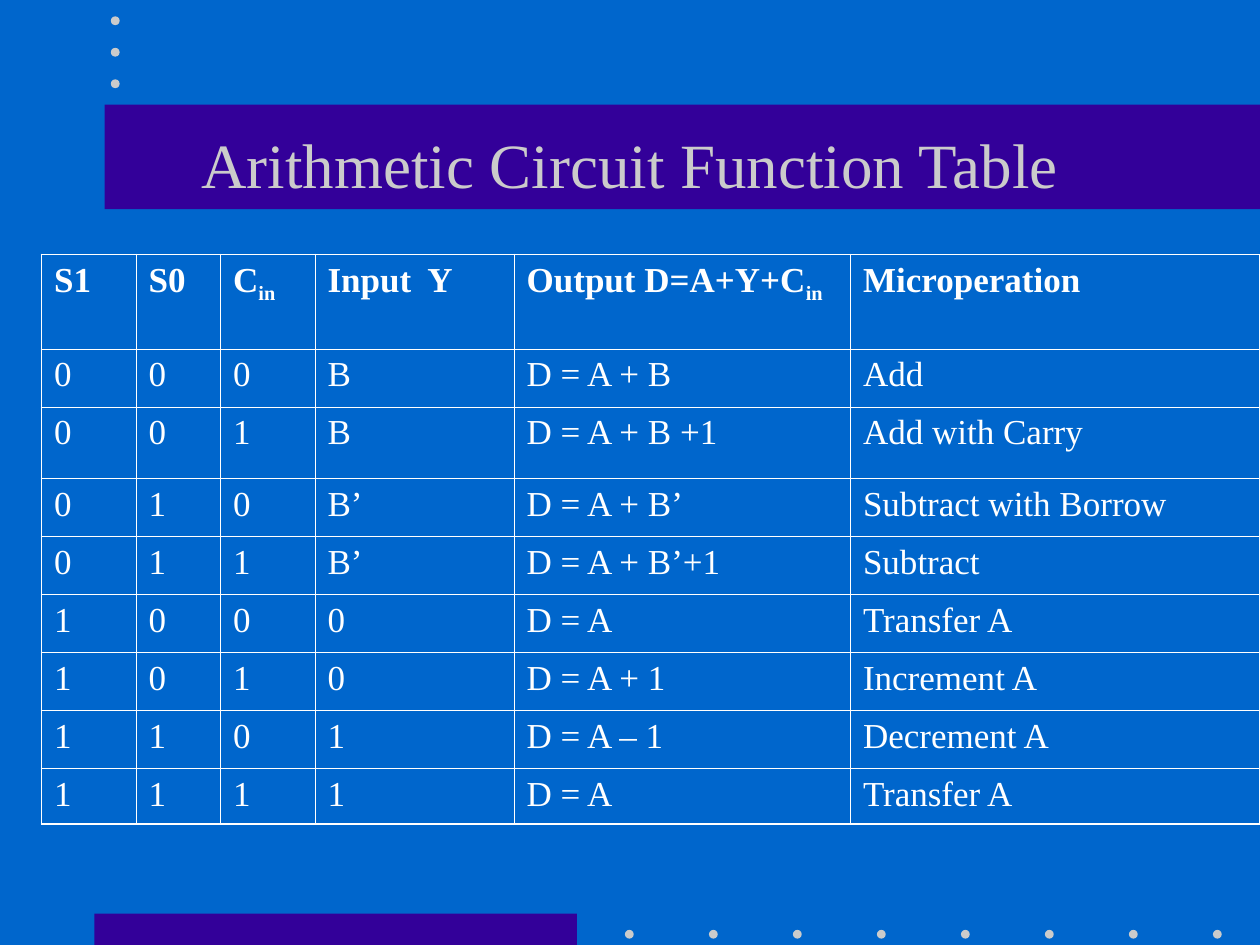
"""Build the arithmetic circuit function table slide."""
from lxml.etree import SubElement
from pptx import Presentation
from pptx.dml.color import RGBColor
from pptx.enum.shapes import MSO_SHAPE
from pptx.enum.text import MSO_ANCHOR, MSO_AUTO_SIZE, PP_ALIGN
from pptx.oxml.ns import qn
from pptx.util import Inches, Pt

BLUE = RGBColor(0x00, 0x66, 0xCC)
PURPLE = RGBColor(0x33, 0x00, 0x99)
GREY = RGBColor(0xCB, 0xCB, 0xCB)
WHITE = RGBColor(0xFF, 0xFF, 0xFF)
FONT = "Times New Roman"
OUTER, INNER = Pt(1.08), Pt(0.45)

COLUMN_WIDTHS = [0.75, 0.67, 0.75, 1.58, 2.67, 3.25]
ROW_HEIGHTS = [0.75, 0.46, 0.57, 0.46, 0.46, 0.46, 0.46, 0.46, 0.44]
HEADERS = [("S1",), ("S0",), ("C", "in"), ("Input  Y",),
           ("Output D=A+Y+C", "in"), ("Microperation",)]
OPERATIONS = [
    ("B", "D = A + B", "Add"),
    ("B", "D = A + B +1", "Add with Carry"),
    ("B’", "D = A + B’", "Subtract with Borrow"),
    ("B’", "D = A + B’+1", "Subtract"),
    ("0", "D = A", "Transfer A"),
    ("0", "D = A + 1", "Increment A"),
    ("1", "D = A – 1", "Decrement A"),
    ("1", "D = A", "Transfer A"),
]


def add_plain_shape(kind, left, top, width, height, color):
    shape = page.shapes.add_shape(
        kind, Inches(left), Inches(top), Inches(width), Inches(height))
    shape.shadow.inherit = False
    shape.fill.solid()
    shape.fill.fore_color.rgb = color
    shape.line.fill.background()


def add_border(cell, side, width):
    line = SubElement(cell._tc.get_or_add_tcPr(), qn(f"a:ln{side}"), w=str(width))
    fill = SubElement(line, qn("a:solidFill"))
    SubElement(fill, qn("a:srgbClr"), val=str(WHITE))


deck = Presentation()
deck.slide_width, deck.slide_height = Inches(10), Inches(7.5)
page = deck.slides.add_slide(deck.slide_layouts[5])
page.background.fill.solid()
page.background.fill.fore_color.rgb = BLUE

add_plain_shape(MSO_SHAPE.RECTANGLE, 0.75, 7.25, 3.83, 0.25, PURPLE)
add_plain_shape(MSO_SHAPE.RECTANGLE, 0.83, 0.83, 9.17, 0.83, PURPLE)
bottom_dots = [(4.96 + index * 2 / 3, 7.38) for index in range(8)]
top_dots = [(0.88, 0.13 + index * 0.25) for index in range(3)]
for left, top in bottom_dots + top_dots:
    add_plain_shape(MSO_SHAPE.OVAL, left, top, 0.07, 0.07, GREY)

title = page.shapes.title
title.element.getparent().append(title.element)
title.left, title.top = Inches(0.75), Inches(0.67)
title.width, title.height = Inches(8.5), Inches(1.25)
title.text_frame.text = "Arithmetic Circuit Function Table"
title.text_frame.auto_size = MSO_AUTO_SIZE.NONE
title.text_frame.vertical_anchor = MSO_ANCHOR.MIDDLE
para = title.text_frame.paragraphs[0]
para.alignment = PP_ALIGN.CENTER
for name, value in {"name": FONT, "size": Pt(36)}.items():
    setattr(para.runs[0].font, name, value)
para.runs[0].font.color.rgb = GREY

rows = [HEADERS]
for number, operation in enumerate(OPERATIONS):
    rows.append([(text,) for text in (*f"{number:03b}", *operation)])

last_row, last_column = len(ROW_HEIGHTS) - 1, len(COLUMN_WIDTHS) - 1
table = page.shapes.add_table(
    len(ROW_HEIGHTS), len(COLUMN_WIDTHS), Inches(0.33), Inches(2.02),
    Inches(sum(COLUMN_WIDTHS)), Inches(sum(ROW_HEIGHTS))).table
table.first_row = table.horz_banding = False
for column, width in zip(table.columns, COLUMN_WIDTHS):
    column.width = Inches(width)
for row, height in zip(table.rows, ROW_HEIGHTS):
    row.height = Inches(height)

for row_index, row in enumerate(rows):
    for column_index, parts in enumerate(row):
        cell = table.cell(row_index, column_index)
        edges = {"L": column_index == 0, "R": column_index == last_column,
                 "T": row_index == 0, "B": row_index == last_row}
        for side, is_outer in edges.items():
            add_border(cell, side, OUTER if is_outer else INNER)
        cell.fill.background()
        para = cell.text_frame.paragraphs[0]
        for part_index, text in enumerate(parts):
            span = para.add_run()
            span.text = text
            style = {"name": FONT, "size": Pt(20), "bold": row_index == 0}
            for name, value in style.items():
                setattr(span.font, name, value)
            span.font.color.rgb = WHITE
            if part_index == 1:
                span.font._element.set("baseline", "-25000")

deck.save("out.pptx")
